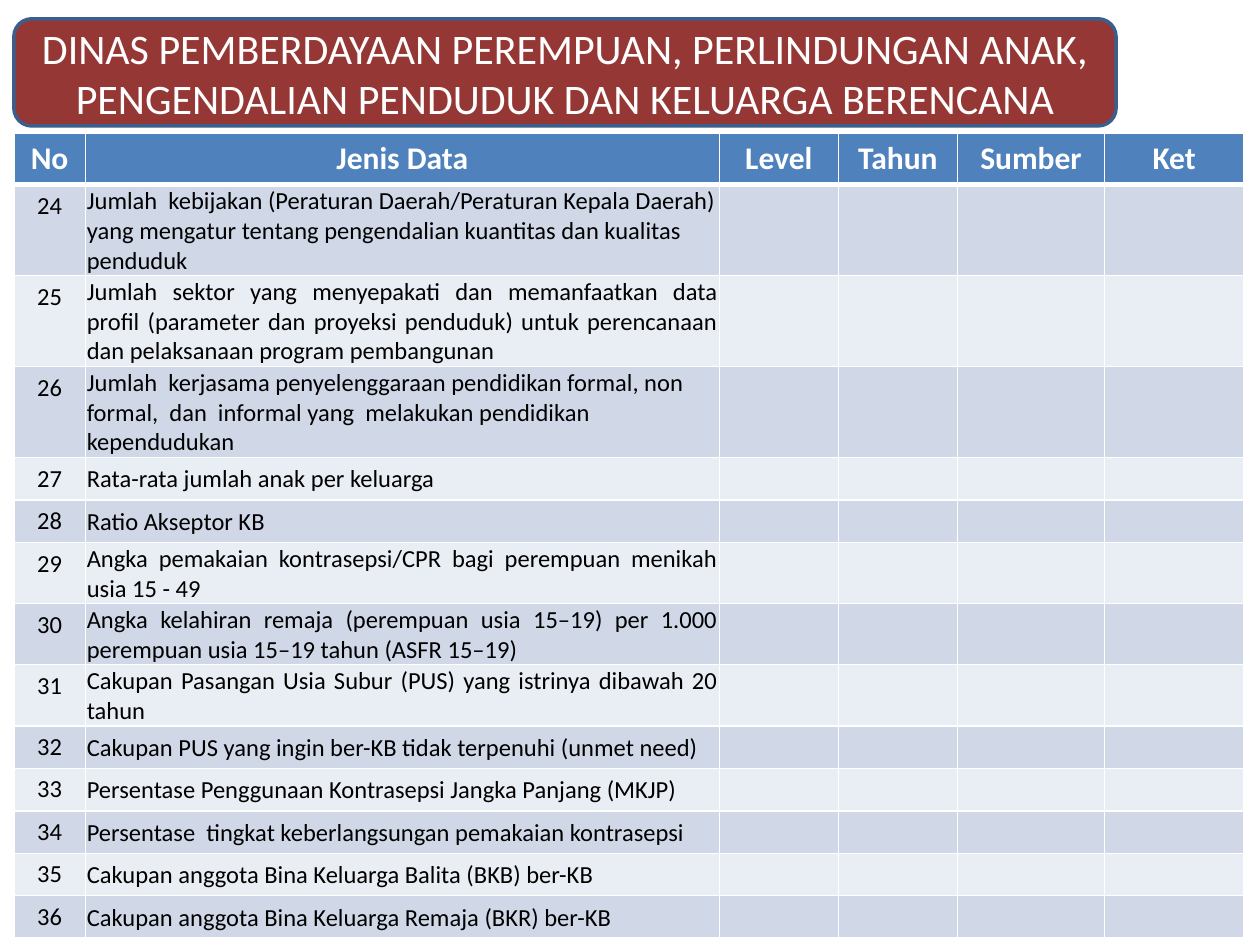
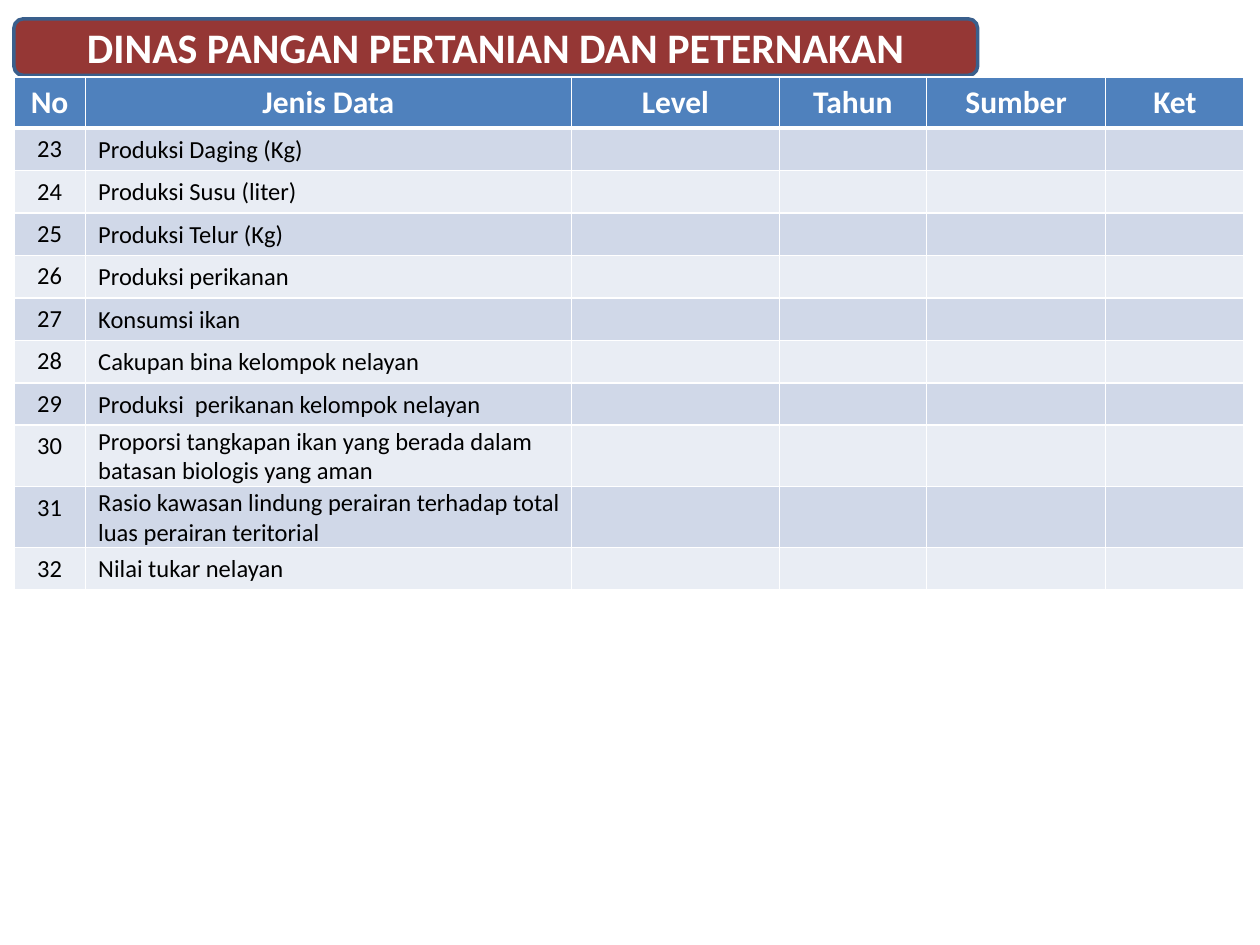
from lxml.etree import SubElement
from pptx import Presentation
from pptx.dml.color import RGBColor
from pptx.enum.shapes import MSO_SHAPE
from pptx.enum.text import MSO_ANCHOR, MSO_AUTO_SIZE, PP_ALIGN
from pptx.oxml.ns import qn
from pptx.util import Cm, Pt

FONT = "Calibri"
WHITE, BLACK = "FFFFFF", "000000"
BAND_FILL, BAND_LINE = "953735", "3A5F8C"
HEADER_FILL = "4F81BD"
ROW_FILLS = ("D0D8E8", "E9EDF4")
HEADINGS = ("No", "Jenis Data", "Level", "Tahun", "Sumber", "Ket")
LEFT = 0.28
BAND_TOP = 0.38
HEADER_HEIGHT, ROW_HEIGHT = 0.91, 0.84
THIN, THICK = 1, 3

FAMILY_TITLE = (
    "DINAS PEMBERDAYAAN PEREMPUAN, PERLINDUNGAN ANAK, "
    "PENGENDALIAN PENDUDUK DAN KELUARGA BERENCANA"
)
FAMILY_DATA = (
    "Jumlah  kebijakan (Peraturan Daerah/Peraturan Kepala Daerah) yang mengatur "
    "tentang pengendalian kuantitas dan kualitas penduduk",
    "Jumlah sektor yang menyepakati dan memanfaatkan data profil (parameter dan "
    "proyeksi penduduk) untuk perencanaan dan pelaksanaan program pembangunan",
    "Jumlah  kerjasama penyelenggaraan pendidikan formal, non formal,  dan  "
    "informal yang  melakukan pendidikan kependudukan",
    "Rata-rata jumlah anak per keluarga",
    "Ratio Akseptor KB",
    "Angka pemakaian kontrasepsi/CPR bagi perempuan menikah usia 15 - 49",
    "Angka kelahiran remaja (perempuan usia 15–19) per 1.000 perempuan usia "
    "15–19 tahun (ASFR 15–19)",
    "Cakupan Pasangan Usia Subur (PUS) yang istrinya dibawah 20 tahun",
    "Cakupan PUS yang ingin ber-KB tidak terpenuhi (unmet need)",
    "Persentase Penggunaan Kontrasepsi Jangka Panjang (MKJP)",
    "Persentase  tingkat keberlangsungan pemakaian kontrasepsi",
    "Cakupan anggota Bina Keluarga Balita (BKB) ber-KB",
    "Cakupan anggota Bina Keluarga Remaja (BKR) ber-KB",
)
FAMILY_LEFT_ALIGNED = {24, 26, 28, 34}

FARMING_TITLE = "DINAS PANGAN PERTANIAN DAN PETERNAKAN"
FARMING_DATA = (
    "Produksi Daging (Kg)",
    "Produksi Susu (liter)",
    "Produksi Telur (Kg)",
    "Produksi perikanan",
    "Konsumsi ikan",
    "Cakupan bina kelompok nelayan",
    "Produksi  perikanan kelompok nelayan",
    "Proporsi tangkapan ikan yang berada dalam batasan biologis yang aman",
    "Rasio kawasan lindung perairan terhadap total luas perairan teritorial",
    "Nilai tukar nelayan",
)


def color(value):
    return RGBColor.from_string(value)


def format_paragraph(paragraph, size, text_color, bold, alignment):
    paragraph.alignment = alignment
    for run in paragraph.runs:
        run.font.name = FONT
        run.font.size = Pt(size)
        run.font.bold = bold
        run.font.color.rgb = color(text_color)
    if not paragraph.runs:
        paragraph._p.get_or_add_endParaRPr().set("sz", str(size * 100))


def add_title_band(slide, title, width, height, bold):
    box = Cm(LEFT), Cm(BAND_TOP), Cm(width), Cm(height)
    band = slide.shapes.add_shape(MSO_SHAPE.ROUNDED_RECTANGLE, *box)
    band.shadow.inherit = False
    band.fill.solid()
    band.fill.fore_color.rgb = color(BAND_FILL)
    band.line.color.rgb = color(BAND_LINE)
    band.line.width = Pt(2)
    slide.shapes._spTree.insert(2, band._element)

    heading = slide.shapes.title
    heading.left, heading.top, heading.width, heading.height = box
    text_frame = heading.text_frame
    text_frame.text = title
    text_frame.word_wrap = True
    text_frame.auto_size = MSO_AUTO_SIZE.NONE
    text_frame.vertical_anchor = MSO_ANCHOR.MIDDLE
    format_paragraph(text_frame.paragraphs[0], 24, WHITE, bold, PP_ALIGN.CENTER)


def style_cell(cell, fill, top=THIN, bottom=THIN):
    properties = cell._tc.get_or_add_tcPr()
    for side, width in (("L", THIN), ("R", THIN), ("T", top), ("B", bottom)):
        line = SubElement(properties, qn(f"a:ln{side}"), w=str(Pt(width)))
        line_fill = SubElement(line, qn("a:solidFill"))
        SubElement(line_fill, qn("a:srgbClr"), val=WHITE)
    cell.fill.solid()
    cell.fill.fore_color.rgb = color(fill)


def add_data_table(slide, top, widths, first_number, descriptions, indent, justified):
    row_count = len(descriptions)
    frame = slide.shapes.add_table(
        row_count + 1, len(HEADINGS), Cm(LEFT), Cm(top),
        Cm(sum(widths)), Cm(HEADER_HEIGHT + ROW_HEIGHT * row_count),
    )
    table = frame.table
    for column, width in zip(table.columns, widths):
        column.width = Cm(width)
    for row in table.rows:
        row.height = Cm(ROW_HEIGHT)
    table.rows[0].height = Cm(HEADER_HEIGHT)

    for cell, heading in zip(table.rows[0].cells, HEADINGS):
        style_cell(cell, HEADER_FILL, bottom=THICK)
        cell.text_frame.text = heading
        format_paragraph(cell.text_frame.paragraphs[0], 18, WHITE, True, PP_ALIGN.CENTER)

    for index, description in enumerate(descriptions):
        number = first_number + index
        cells = list(table.rows[index + 1].cells)
        cells[0].text_frame.text = str(number)
        cells[1].text_frame.text = description
        cells[1].vertical_anchor = MSO_ANCHOR.MIDDLE
        cells[1].margin_left = Cm(indent)
        cells[1].margin_right = cells[1].margin_top = Cm(0.03)
        cells[1].margin_bottom = 0
        description_alignment = PP_ALIGN.JUSTIFY if number in justified else PP_ALIGN.LEFT
        alignments = [PP_ALIGN.CENTER, description_alignment] + [PP_ALIGN.LEFT] * 4
        for cell, alignment in zip(cells, alignments):
            style_cell(cell, ROW_FILLS[index % 2], top=THIN if index else THICK)
            format_paragraph(cell.text_frame.paragraphs[0], 14, BLACK, False, alignment)


def add_family_slide(presentation):
    slide = presentation.slides.add_slide(presentation.slide_layouts[5])
    add_title_band(slide, FAMILY_TITLE, 22.22, 2.16, False)
    justified = set(range(24, 37)) - FAMILY_LEFT_ALIGNED
    widths = (1.44, 12.78, 2.4, 2.4, 2.97, 2.8)
    add_data_table(slide, 2.69, widths, 24, FAMILY_DATA, 0.03, justified)


def add_farming_slide(presentation):
    slide = presentation.slides.add_slide(presentation.slide_layouts[5])
    add_title_band(slide, FARMING_TITLE, 19.43, 1.14, True)
    widths = (1.44, 9.8, 4.19, 2.97, 3.61, 2.79)
    add_data_table(slide, 1.55, widths, 23, FARMING_DATA, 0.26, set())


def main():
    presentation = Presentation()
    presentation.slide_width = Cm(25.4)
    presentation.slide_height = Cm(19.05)
    add_family_slide(presentation)
    add_farming_slide(presentation)
    presentation.save("out.pptx")


if __name__ == "__main__":
    main()
